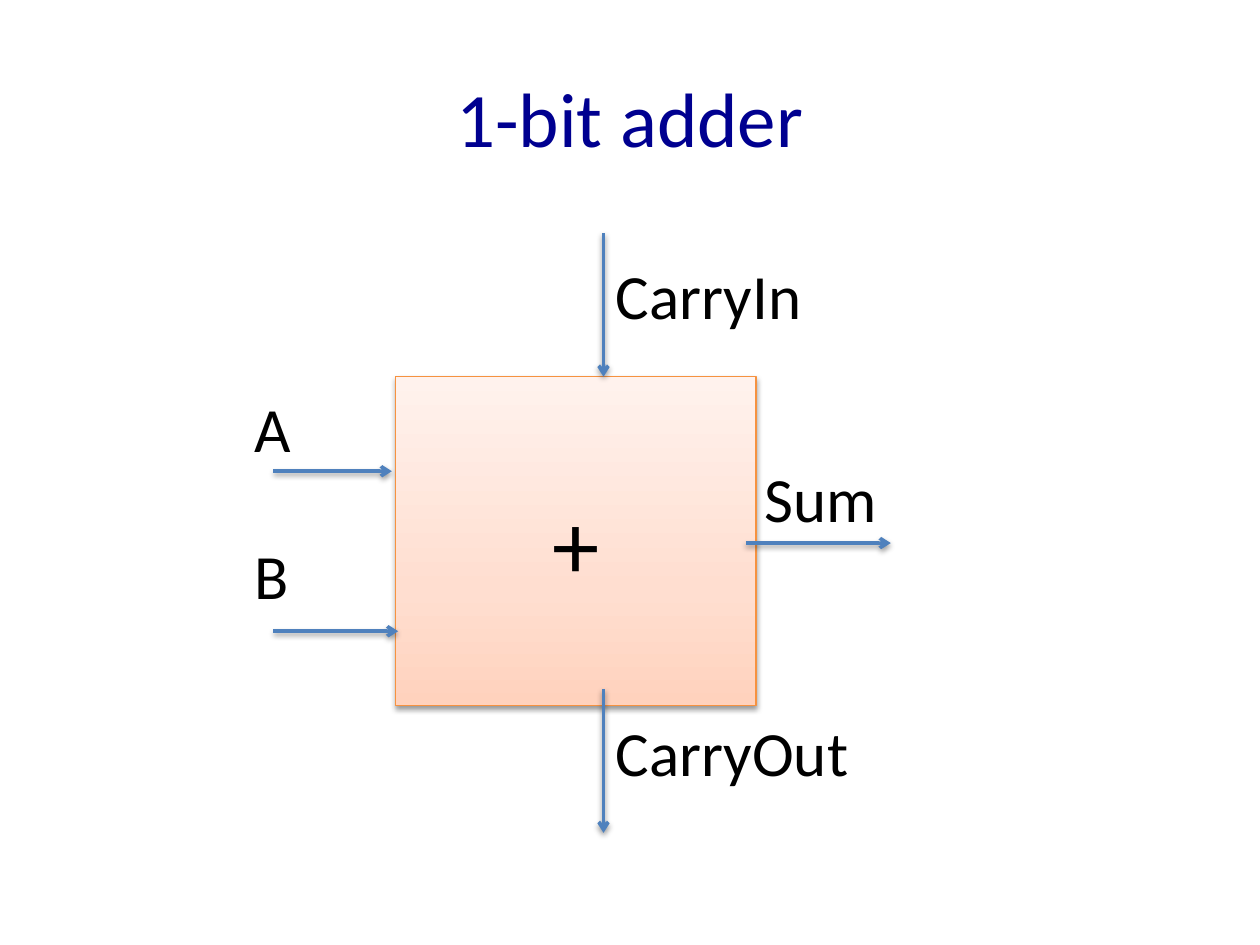
import copy

import lxml.etree
import pptx
import pptx.dml.color
import pptx.enum.shapes
import pptx.enum.text
import pptx.oxml
import pptx.oxml.ns
import pptx.util

Inches = pptx.util.Inches
Pt = pptx.util.Pt
qn = pptx.oxml.ns.qn
ANCHOR = pptx.enum.text.MSO_ANCHOR
ALIGN = pptx.enum.text.PP_ALIGN

COLORS = {
    "title": "000090",
    "text": "000000",
    "arrow": "4F81BD",
    "border": "F69240",
    "shadow": "000000",
    "bottom": "FFD2BD",
    "middle": "FFDED0",
    "top": "FFF2ED",
}
FONT = "Calibri"


def rgb(name):
    return pptx.dml.color.RGBColor.from_string(COLORS[name])


def add_shadow(shape):
    shape._element.spPr.append(pptx.oxml.parse_xml(
        f'<a:effectLst {pptx.oxml.ns.nsdecls("a")}>'
        '<a:outerShdw blurRad="40000" dist="20000" dir="5400000" rotWithShape="0">'
        f'<a:srgbClr val="{COLORS["shadow"]}"><a:alpha val="38000"/></a:srgbClr>'
        '</a:outerShdw></a:effectLst>'))


def add_run(tf, text, size, color="text", align=ALIGN.LEFT):
    p = tf.paragraphs[0]
    p.alignment = align
    r = p.add_run()
    r.text = text
    r.font.size = Pt(size)
    r.font.name = FONT
    r.font.color.rgb = rgb(color)


def add_title(shapes, left, top, width, height):
    tf = shapes.add_textbox(left, top, width, height).text_frame
    tf.word_wrap = True
    tf.vertical_anchor = ANCHOR.MIDDLE
    add_run(tf, "1-bit adder", 44, "title", ALIGN.CENTER)


def add_block(shapes, left, top, width, height):
    sp = shapes.add_shape(pptx.enum.shapes.MSO_SHAPE.RECTANGLE, left, top, width, height)
    sp.fill.gradient()
    sp.fill.gradient_angle = 90
    stop_list = sp._element.spPr.find(".//" + qn("a:gsLst"))
    stop_list.append(copy.deepcopy(stop_list[-1]))
    stops = [(0, "bottom"), (0.35, "middle"), (1, "top")]
    for stop, (position, color) in zip(sp.fill.gradient_stops, stops):
        stop.position = position
        stop.color.rgb = rgb(color)
    sp.line.color.rgb = rgb("border")
    sp.line.width = Pt(0.75)
    add_shadow(sp)
    sp.text_frame.vertical_anchor = ANCHOR.MIDDLE
    add_run(sp.text_frame, "+", 54, align=ALIGN.CENTER)


def add_arrow(shapes, x1, y1, x2, y2):
    line = shapes.add_connector(pptx.enum.shapes.MSO_CONNECTOR.STRAIGHT, x1, y1, x2, y2)
    line.line.color.rgb = rgb("arrow")
    line.line.width = Pt(2)
    lxml.etree.SubElement(line.line._get_or_add_ln(), qn("a:tailEnd"), type="arrow")
    add_shadow(line)


def add_label(shapes, text, left, top, width):
    tf = shapes.add_textbox(left, top, width, Inches(0.71)).text_frame
    tf.word_wrap = False
    tf.auto_size = pptx.enum.text.MSO_AUTO_SIZE.SHAPE_TO_FIT_TEXT
    add_run(tf, text, 36)


def add_adder(shapes, left, top, width, height):
    add_block(shapes, left, top, width, height)
    right, bottom = left + width, top + height

    carry_x = left + Inches(1.65)
    carry_length = Inches(1.14)
    carries = [("CarryIn", top - carry_length, 1.69),
               ("CarryOut", bottom - Inches(0.13), 2.06)]
    for text, y, label_width in carries:
        add_arrow(shapes, carry_x, y, carry_x, y + carry_length)
        add_label(shapes, text, carry_x, y + Inches(0.14), Inches(label_width))

    inputs = [("A", 0.75, 0.05, -0.03, 0.5), ("B", 2.02, 1.22, 0.02, 0.48)]
    for text, line_y, label_y, end, label_width in inputs:
        y = top + Inches(line_y)
        add_arrow(shapes, left - Inches(0.97), y, left + Inches(end), y)
        add_label(shapes, text, left - Inches(1.22), top + Inches(label_y),
                  Inches(label_width))

    sum_y = top + Inches(1.32)
    add_arrow(shapes, right - Inches(0.08), sum_y, right + Inches(1.07), sum_y)
    add_label(shapes, "Sum", right - Inches(0.03), sum_y - Inches(0.71), Inches(1.1))


def main():
    prs = pptx.Presentation()
    prs.slide_width, prs.slide_height = Inches(10), Inches(7.5)
    s = prs.slides.add_slide(prs.slide_layouts[6])
    add_title(s.shapes, Inches(0.5), Inches(0.3), Inches(9), Inches(1.25))
    adder = s.shapes.add_group_shape()
    add_adder(adder.shapes, Inches(3.14), Inches(2.99), Inches(2.86), Inches(2.61))
    prs.save("out.pptx")


if __name__ == "__main__":
    main()
